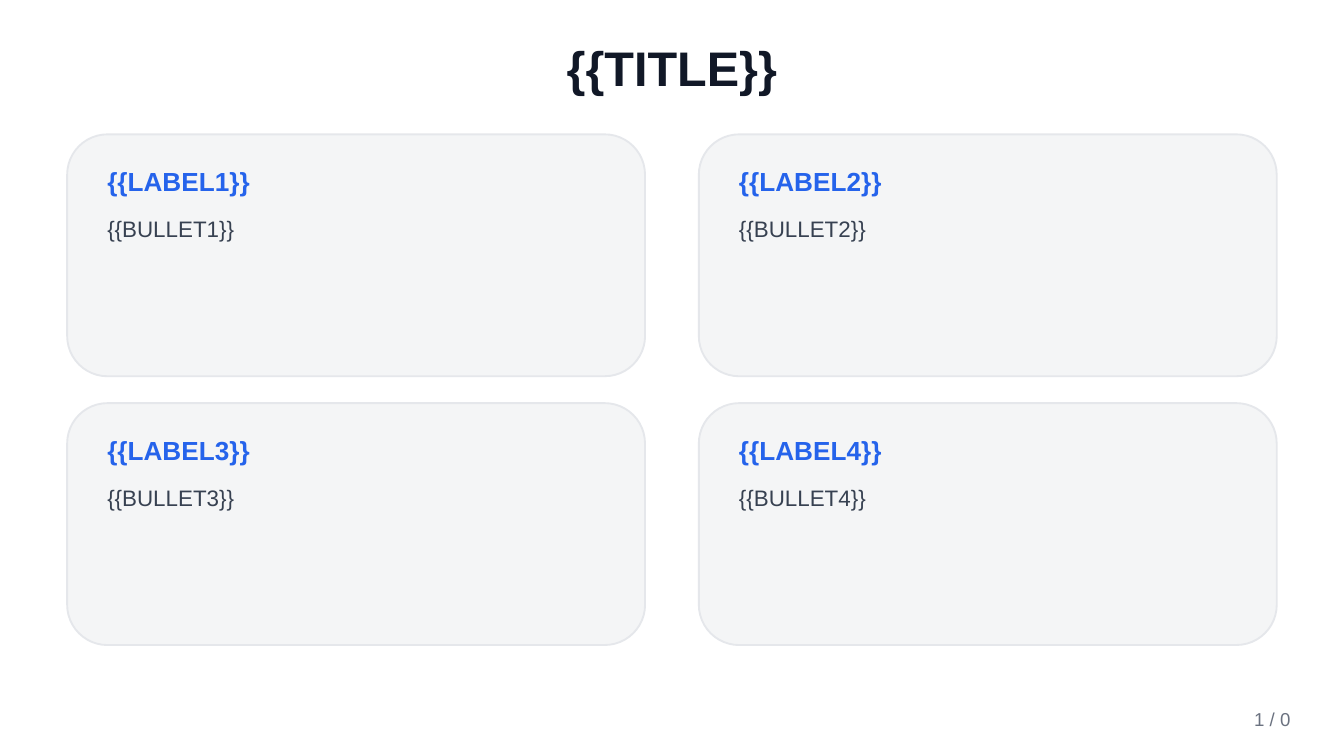
"""Builds a title slide with a two by two grid of labelled cards."""
import pptx
import pptx.dml.color
import pptx.enum.shapes
import pptx.enum.text
import pptx.oxml.ns
import pptx.util
from lxml import etree

Inches = pptx.util.Inches
ALIGN = pptx.enum.text.PP_ALIGN
ANCHOR = pptx.enum.text.MSO_ANCHOR

TITLE = "{{TITLE}}"
CARDS = [
    ("{{LABEL1}}", "{{BULLET1}}"),
    ("{{LABEL2}}", "{{BULLET2}}"),
    ("{{LABEL3}}", "{{BULLET3}}"),
    ("{{LABEL4}}", "{{BULLET4}}"),
]
PAGE = "1 / 0"

SLIDE_W = 10
SLIDE_H = SLIDE_W * 9 / 16
COLUMNS = 2
LEFT, TOP = 0.5, 1
CARD_W, CARD_H = 4.3, 1.8
GAP_X, GAP_Y = 0.4, 0.2
PAD_X, PAD_Y = 0.2, 0.15
LABEL_H, BULLET_H = 0.4, 1


def rgb(value):
    return pptx.dml.color.RGBColor.from_string(value)


def add_text(slide, text, box, size, color, bold=False, align=ALIGN.LEFT,
             anchor=ANCHOR.MIDDLE, sp=None):
    box = [Inches(round(v, 2)) for v in box]
    if sp is None:
        sp = slide.shapes.add_textbox(*box)
    else:
        sp.left, sp.top, sp.width, sp.height = box
    tf = sp.text_frame
    tf.word_wrap = True
    tf.auto_size = pptx.enum.text.MSO_AUTO_SIZE.NONE
    tf.vertical_anchor = anchor
    p = tf.paragraphs[0]
    p.alignment = align
    r = p.add_run()
    r.text = text
    r.font.name = "Arial"
    r.font.size = pptx.util.Pt(size)
    r.font.bold = bold
    r.font.color.rgb = rgb(color)


def add_card(slide, x, y, label, bullet):
    sp = slide.shapes.add_shape(
        pptx.enum.shapes.MSO_SHAPE.ROUNDED_RECTANGLE,
        Inches(x), Inches(y), Inches(CARD_W), Inches(CARD_H))
    sp.shadow.inherit = False
    sp.fill.solid()
    sp.fill.fore_color.rgb = rgb("F3F4F6")
    color = sp.fill._xPr.find(".//" + pptx.oxml.ns.qn("a:srgbClr"))
    etree.SubElement(color, pptx.oxml.ns.qn("a:alpha"), val="90000")
    sp.line.color.rgb = rgb("E5E7EB")
    sp.line.width = pptx.util.Pt(1)

    text_x, text_y, text_w = x + PAD_X, y + PAD_Y, CARD_W - 2 * PAD_X
    add_text(slide, label, (text_x, text_y, text_w, LABEL_H), 14, "2563EB", bold=True)
    add_text(slide, bullet, (text_x, text_y + LABEL_H, text_w, BULLET_H), 12, "374151",
             anchor=ANCHOR.TOP)


def main():
    prs = pptx.Presentation()
    prs.slide_width, prs.slide_height = Inches(SLIDE_W), Inches(SLIDE_H)
    s = prs.slides.add_slide(prs.slide_layouts[5])
    s.background.fill.solid()
    s.background.fill.fore_color.rgb = rgb("FFFFFF")

    add_text(s, TITLE, (0.5, 0.2, 9, 0.6), 26, "111827", bold=True,
             align=ALIGN.CENTER, sp=s.shapes.title)
    for i, (label, bullet) in enumerate(CARDS):
        row, col = divmod(i, COLUMNS)
        add_card(s, LEFT + col * (CARD_W + GAP_X), TOP + row * (CARD_H + GAP_Y),
                 label, bullet)
    add_text(s, PAGE, (8.5, 5.2, 1.2, 0.3), 10, "6B7280", align=ALIGN.RIGHT)
    prs.save("out.pptx")


if __name__ == "__main__":
    main()
